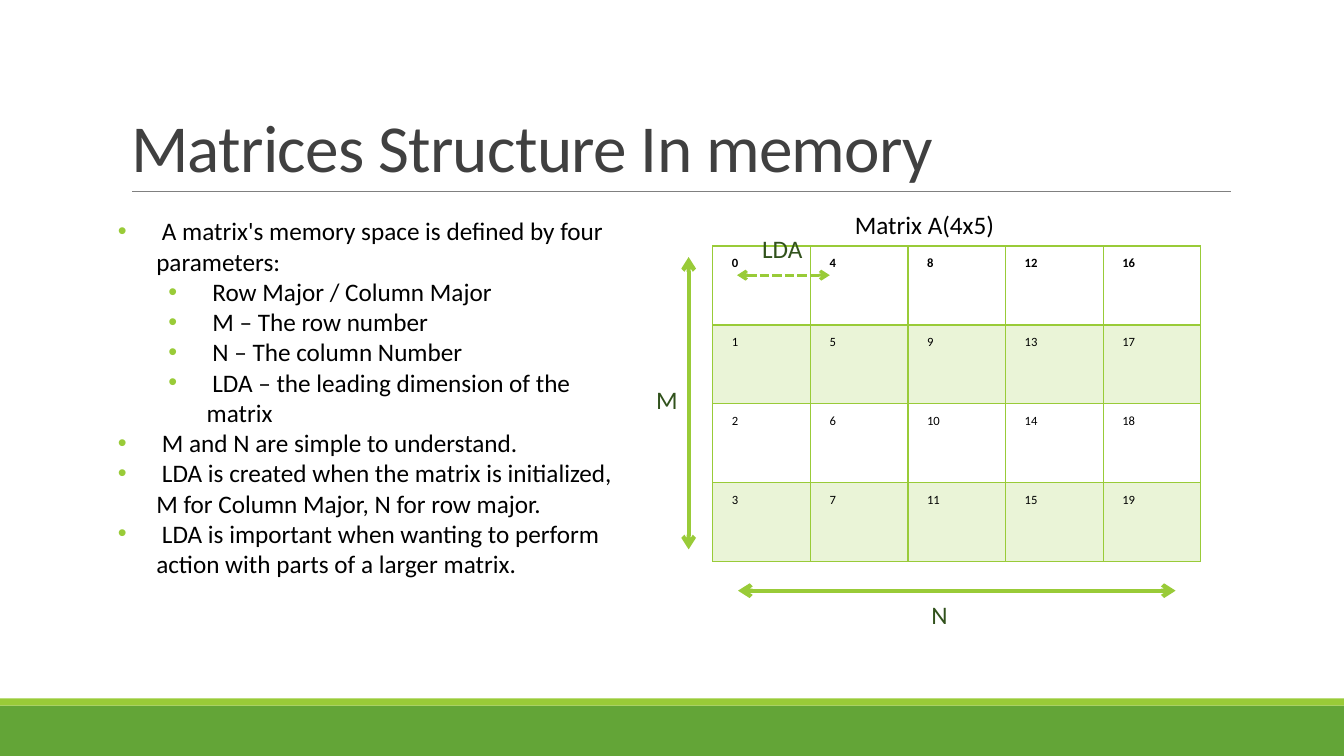
from lxml import etree
from pptx import Presentation
from pptx.dml.color import RGBColor
from pptx.enum.dml import MSO_LINE
from pptx.enum.shapes import MSO_CONNECTOR, MSO_SHAPE
from pptx.enum.text import MSO_ANCHOR, MSO_AUTO_SIZE, PP_ALIGN
from pptx.oxml.ns import qn
from pptx.util import Inches, Pt

STRAIGHT = MSO_CONNECTOR.STRAIGHT
RECTANGLE = MSO_SHAPE.RECTANGLE
SHORT_DASH = MSO_LINE.SQUARE_DOT
LEFT = PP_ALIGN.LEFT
BOTTOM, TOP = MSO_ANCHOR.BOTTOM, MSO_ANCHOR.TOP
NO_AUTOFIT = MSO_AUTO_SIZE.NONE

LIME = RGBColor(0x99, 0xCB, 0x38)
GREEN = RGBColor(0x63, 0xA5, 0x37)
DARK_GREEN = RGBColor(0x31, 0x52, 0x1C)
GRAY = RGBColor(0x80, 0x80, 0x80)
CHARCOAL = RGBColor(0x40, 0x40, 0x40)
BLACK = RGBColor(0, 0, 0)

MATRIX_ROWS, MATRIX_COLUMNS = 4, 5
BULLETS = [
    (0, " A matrix's memory space is defined by four parameters:"),
    (1, " Row Major / Column Major"),
    (1, " M – The row number"),
    (1, " N – The column Number"),
    (1, " LDA – the leading dimension of the matrix"),
    (0, " M and N are simple to understand."),
    (0, " LDA is created when the matrix is initialized, M for Column Major, N for row major."),
    (0, " LDA is important when wanting to perform action with parts of a larger matrix."),
]


def add_element(parent, tag, **attributes):
    """Append a DrawingML element and return it."""
    element = etree.SubElement(parent, qn(tag))
    for name, value in attributes.items():
        element.set(name, str(value))
    return element


class SlideBuilder:
    """Holds the text style and the current slide."""

    def __init__(self, slide, font="Calibri", size=18):
        self.slide = slide
        self.font = font
        self.size = size

    def place(self, shape, left, top, width, height):
        """Move and resize a shape, in inches."""
        shape.left, shape.top = Inches(left), Inches(top)
        shape.width, shape.height = Inches(width), Inches(height)

    def run(self, paragraph, text, color=BLACK, size=None, bold=False):
        """Add one formatted run."""
        run = paragraph.add_run()
        run.text = text
        run.font.name = self.font
        run.font.size = Pt(size or self.size)
        run.font.bold = bold
        run.font.color.rgb = color
        return run

    def title(self, text, *box):
        """Fill the title placeholder."""
        shape = self.slide.shapes.title
        self.place(shape, *box)
        frame = shape.text_frame
        frame.auto_size = NO_AUTOFIT
        frame.vertical_anchor = BOTTOM
        paragraph = frame.paragraphs[0]
        paragraph.alignment = LEFT
        paragraph.line_spacing = 0.85
        run = self.run(paragraph, text, CHARCOAL, 48)
        run.font._element.set("spc", "-50")

    def bullets(self, items, *box):
        """Fill the body placeholder with a two-level list."""
        shape = self.slide.placeholders[1]
        self.place(shape, *box)
        frame = shape.text_frame
        frame.auto_size = NO_AUTOFIT
        frame.vertical_anchor = TOP
        for index, (level, text) in enumerate(items):
            paragraph = frame.add_paragraph() if index else frame.paragraphs[0]
            paragraph.level = level
            paragraph.alignment = LEFT
            paragraph.space_before = paragraph.space_after = Pt(0)
            paragraph.line_spacing = 1.0
            properties = paragraph._p.get_or_add_pPr()
            properties.set("marL", str(Inches(0.38 + 0.5 * level)))
            properties.set("indent", str(Inches(-0.38)))
            bullet_color = add_element(properties, "a:buClr")
            add_element(bullet_color, "a:srgbClr", val=LIME)
            add_element(properties, "a:buFont", typeface="Arial")
            add_element(properties, "a:buChar", char="•")
            self.run(paragraph, text)

    def label(self, text, *box, color=DARK_GREEN):
        """Add a one-line text box."""
        shape = self.slide.shapes.add_textbox(*map(Inches, box))
        shape.text_frame.word_wrap = True
        self.run(shape.text_frame.paragraphs[0], text, color)

    def band(self, color, *box):
        """Add a plain filled rectangle."""
        shape = self.slide.shapes.add_shape(RECTANGLE, *map(Inches, box))
        shape.shadow.inherit = False
        shape.fill.solid()
        shape.fill.fore_color.rgb = color
        shape.line.fill.background()

    def line(self, *ends, color=LIME, width=3, dash=None, arrows=True):
        """Add a straight line, by default with arrowheads at both ends."""
        connector = self.slide.shapes.add_connector(STRAIGHT, *map(Inches, ends))
        connector.line.color.rgb = color
        connector.line.width = Pt(width)
        if dash:
            connector.line.dash_style = dash
        if arrows:
            outline = connector.line._get_or_add_ln()
            for tag in ("a:headEnd", "a:tailEnd"):
                add_element(outline, tag, type="arrow")
        add_element(connector._element.spPr, "a:effectLst")

    def borders(self, cell, row):
        """Outline a cell, with a heavier rule below the first row."""
        properties = cell._tc.get_or_add_tcPr()
        heavy_side = {0: "B", 1: "T"}.get(row)
        for side in "LRTB":
            width = Pt(2 if side == heavy_side else 1)
            border = add_element(properties, f"a:ln{side}", w=width)
            fill = add_element(border, "a:solidFill")
            add_element(fill, "a:srgbClr", val=LIME)

    def matrix(self, rows, columns, *box):
        """Add a table of memory offsets in column-major order."""
        frame = self.slide.shapes.add_table(rows, columns, *map(Inches, box))
        table = frame.table
        table.first_row = table.horz_banding = False
        for row in range(rows):
            for column in range(columns):
                cell = table.cell(row, column)
                cell.margin_left = cell.margin_right = Inches(0.19)
                cell.margin_top = cell.margin_bottom = Inches(0.1)
                offset = str(column * rows + row)
                self.run(cell.text_frame.paragraphs[0], offset, size=9, bold=row == 0)
                self.borders(cell, row)
                if row % 2:
                    cell.fill.solid()
                    cell.fill.fore_color.rgb = LIME
                    tint = cell._tc.tcPr.find(qn("a:solidFill"))[0]
                    add_element(tint, "a:alpha", val=20000)
                else:
                    cell.fill.background()


def main():
    """Build and save the slide."""
    presentation = Presentation()
    presentation.slide_width, presentation.slide_height = Inches(13.33), Inches(7.5)
    slide = presentation.slides.add_slide(presentation.slide_layouts[1])
    builder = SlideBuilder(slide)

    builder.band(GREEN, 0, 7, 13.33, 0.5)
    builder.band(LIME, 0, 6.93, 13.33, 0.07)
    builder.line(1.31, 1.9, 12.21, 1.9, color=GRAY, width=0.5, arrows=False)
    builder.title("Matrices Structure In memory", 1.2, 0.31, 11, 1.59)
    builder.bullets(BULLETS, 1.07, 2.09, 5.11, 4.04)

    builder.matrix(MATRIX_ROWS, MATRIX_COLUMNS, 7.07, 2.44, 4.84, 3.13)
    builder.label("Matrix A(4x5)", 8.38, 2.03, 2.1, 0.4, color=BLACK)
    builder.line(6.83, 5.45, 6.83, 2.55)
    builder.line(7.32, 5.86, 11.66, 5.86)
    builder.line(7.31, 2.73, 8.23, 2.73, width=2.25, dash=SHORT_DASH)
    builder.label("M", 6.41, 3.76, 0.47, 0.4)
    builder.label("N", 9.14, 5.9, 1.12, 0.4)
    builder.label("LDA", 7.46, 2.27, 0.66, 0.4)

    presentation.save("out.pptx")


main()
